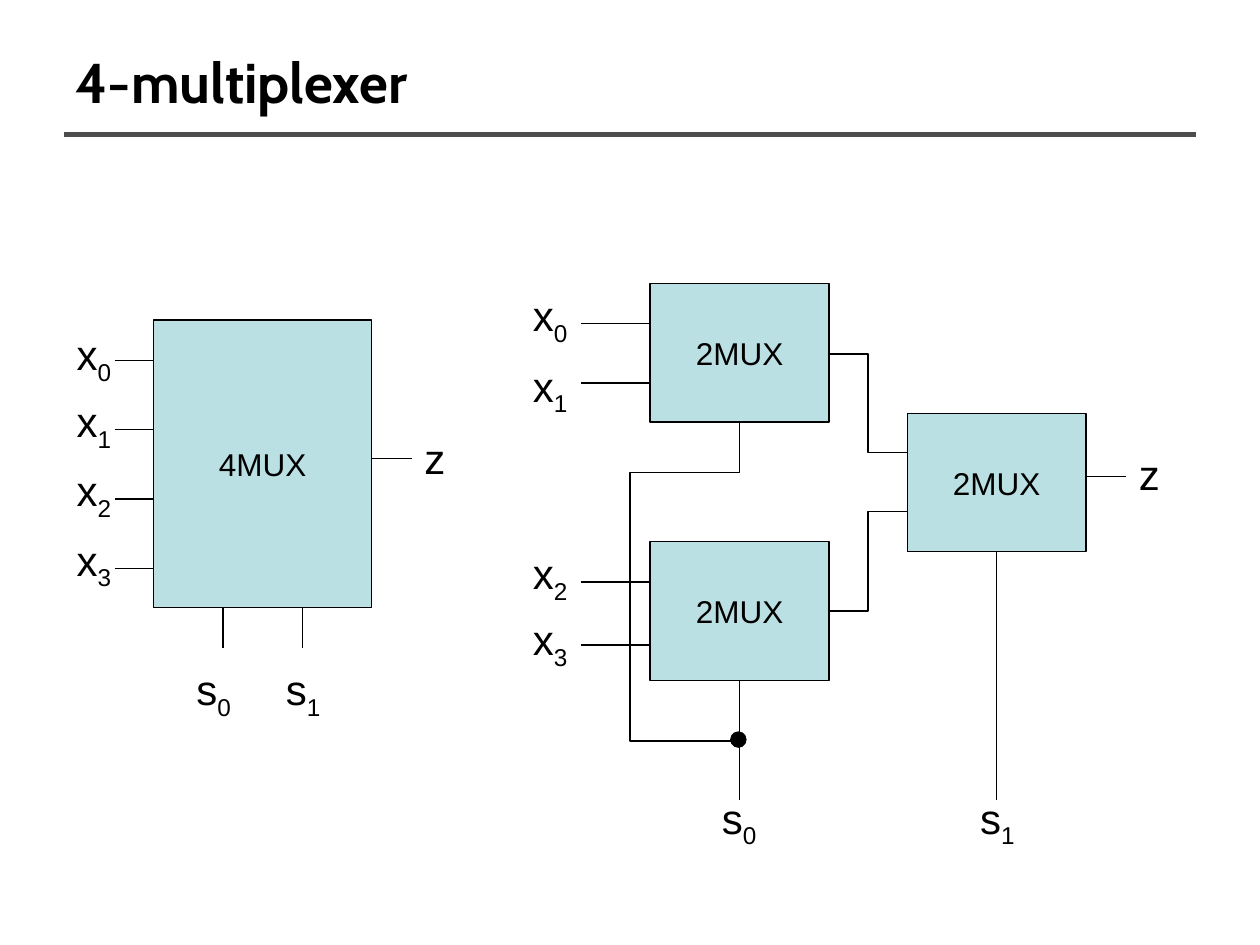
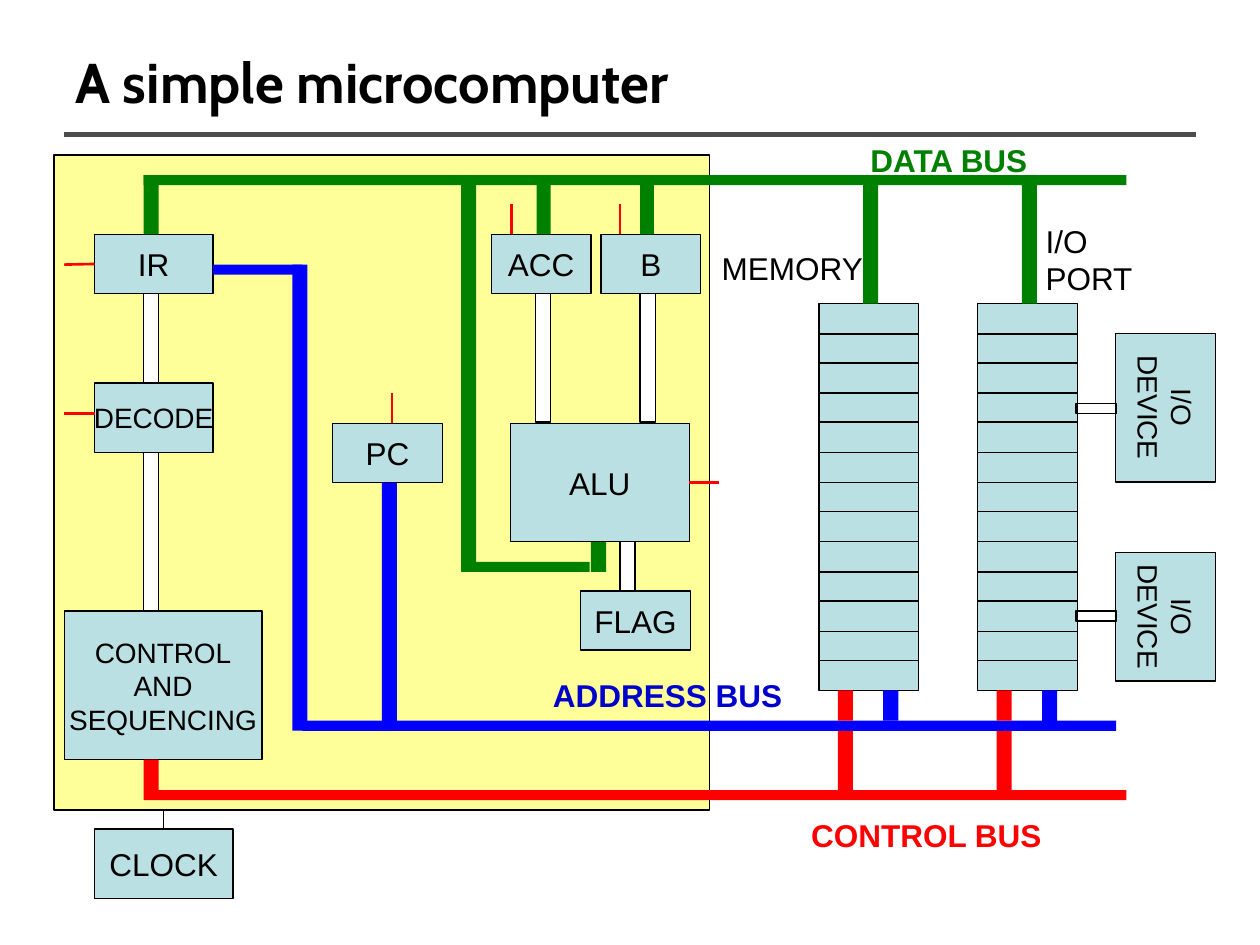
from pptx import Presentation
from pptx.dml.color import RGBColor
from pptx.enum.shapes import MSO_CONNECTOR, MSO_SHAPE
from pptx.enum.text import MSO_ANCHOR, PP_ALIGN
from pptx.oxml.xmlchemy import OxmlElement
from pptx.util import Emu, Pt

EMU_PER_PX = 9144  # 100 px to the inch

BLACK = RGBColor(0x00, 0x00, 0x00)
WHITE = RGBColor(0xFF, 0xFF, 0xFF)
RULE_GREY = RGBColor(0x4D, 0x4D, 0x4D)
BLOCK_BLUE = RGBColor(0xBB, 0xE0, 0xE3)
CPU_YELLOW = RGBColor(0xFF, 0xFF, 0x99)
DATA_GREEN = RGBColor(0x00, 0x80, 0x00)
ADDRESS_BLUE = RGBColor(0x00, 0x00, 0xFF)
ADDRESS_TEXT = RGBColor(0x00, 0x00, 0xCC)
CONTROL_RED = RGBColor(0xFF, 0x00, 0x00)

BODY_FONT = "Arial"
TITLE_FONT = "Cabin"
THIN = 0.75
TOP, LEFT, BOTTOM, RIGHT = range(4)  # connection sites of a rectangle


def px(value):
    return Emu(value * EMU_PER_PX)


# Text
def add_run(paragraph, text, size, colour=BLACK, bold=False, font=BODY_FONT):
    run = paragraph.add_run()
    run.text = text
    run.font.name = font
    run.font.size = Pt(size)
    run.font.bold = bold
    run.font.color.rgb = colour
    return run


def add_lines(frame, lines, size, colour=BLACK, bold=False, align=PP_ALIGN.LEFT):
    for index, line in enumerate(lines):
        paragraph = frame.add_paragraph() if index else frame.paragraphs[0]
        paragraph.alignment = align
        add_run(paragraph, line, size, colour, bold)


def add_caption(slide, frame, lines, colour=BLACK, bold=False):
    text_box = slide.shapes.add_textbox(*map(px, frame))
    text_box.text_frame.word_wrap = False
    add_lines(text_box.text_frame, lines, 18, colour, bold)


def add_signal(slide, left, top, name):
    """A signal letter, with its index as a subscript."""
    text_box = slide.shapes.add_textbox(*map(px, (left, top, 55, 50)))
    text_box.text_frame.word_wrap = True
    paragraph = text_box.text_frame.paragraphs[0]
    letter, index = name[0], name[1:]
    add_run(paragraph, letter, 24)
    if index:
        subscript = add_run(paragraph, index, 24)
        subscript.font._element.set("baseline", "-25000")


# Shapes
def add_plain(slide, frame, fill=None, line=None, preset=MSO_SHAPE.RECTANGLE):
    shape = slide.shapes.add_shape(preset, *map(px, frame))
    shape.shadow.inherit = False
    if fill is None:
        shape.fill.background()
    else:
        shape.fill.solid()
        shape.fill.fore_color.rgb = fill
    if line is None:
        shape.line.fill.background()
    else:
        shape.line.color.rgb = line
        shape.line.width = Pt(THIN)
    return shape


def add_block(slide, frame, lines, size=18, rotation=0):
    block = add_plain(slide, frame, BLOCK_BLUE, BLACK)
    block.rotation = rotation
    block.text_frame.word_wrap = False
    block.text_frame.vertical_anchor = MSO_ANCHOR.MIDDLE
    add_lines(block.text_frame, lines, size, align=PP_ALIGN.CENTER)
    return block


def add_bars(slide, colour, frames):
    for frame in frames:
        add_plain(slide, frame, colour)


def add_wire(slide, start, end, colour=BLACK, width=THIN, block=None, site=None):
    """A straight line; its start is joined to the block's site, if given."""
    wire = slide.shapes.add_connector(
        MSO_CONNECTOR.STRAIGHT, *map(px, (*start, *end)))
    if block is not None:
        wire.begin_connect(block, site)
    wire.line.color.rgb = colour
    wire.line.width = Pt(width)
    wire._element.spPr.append(OxmlElement("a:effectLst"))


def add_bent_wire(slide, points):
    corners = [(px(x), px(y)) for x, y in points]
    builder = slide.shapes.build_freeform(*corners[0])
    builder.add_line_segments(corners[1:], close=False)
    wire = builder.convert_to_shape()
    wire.shadow.inherit = False
    wire.fill.background()
    wire.line.color.rgb = BLACK
    wire.line.width = Pt(THIN)


def add_register_stack(slide, left, top=241, width=79, height=307, cells=13):
    add_plain(slide, (left, top, width, height), BLOCK_BLUE, BLACK)
    for row in range(1, cells):
        y = top + round(row * height / cells)
        add_wire(slide, (left, y), (left + width, y))


def add_titled_slide(presentation, title):
    slide = presentation.slides.add_slide(presentation.slide_layouts[6])
    add_wire(slide, (51, 107), (949, 107), RULE_GREY, 3)
    text_box = slide.shapes.add_textbox(*map(px, (50, 30, 900, 69)))
    text_box.text_frame.word_wrap = True
    text_box.text_frame.vertical_anchor = MSO_ANCHOR.MIDDLE
    add_run(text_box.text_frame.paragraphs[0], title, 32, bold=True, font=TITLE_FONT)
    return slide


# Slide 1
def add_multiplexer_slide(presentation):
    slide = add_titled_slide(presentation, "4-multiplexer")

    # Single 4MUX
    add_block(slide, (122, 254, 173, 228), ["4MUX"])
    for index, label_top in enumerate((256, 309, 364, 419)):
        wire_y = 286 + 55 * index
        add_wire(slide, (91, wire_y), (122, wire_y))
        add_signal(slide, 51, label_top, f"x{index}")
    add_wire(slide, (295, 364), (327, 364))
    add_signal(slide, 327, 338, "z")
    for index, (wire_x, label_left) in enumerate(((177, 146), (240, 217))):
        add_wire(slide, (wire_x, 514), (wire_x, 482))
        add_signal(slide, label_left, 522, f"s{index}")

    # The same built from three 2MUX blocks
    _, lower_mux, output_mux = [
        add_block(slide, (left, top, 142, 110), ["2MUX"])
        for left, top in ((516, 225), (516, 430), (720, 328))]
    for start_y, end_y in ((281, 359), (485, 406)):
        add_bent_wire(slide, [(657, start_y), (689, start_y), (689, end_y), (720, end_y)])
    for index, (label_top, wire_y) in enumerate(
            ((225, 257), (281, 304), (430, 462), (482, 512))):
        add_signal(slide, 413, label_top, f"x{index}")
        add_wire(slide, (461, wire_y), (516, wire_y))
    add_wire(slide, (862, 378), (894, 378))
    add_signal(slide, 894, 351, "z")

    # Select lines
    add_wire(slide, (791, 438), (791, 635), block=output_mux, site=BOTTOM)
    add_wire(slide, (587, 540), (587, 635), block=lower_mux, site=BOTTOM)
    add_bent_wire(slide, [(587, 336), (587, 375), (500, 375), (500, 588), (587, 588)])
    add_plain(slide, (580, 581, 12, 12), BLACK, BLACK, MSO_SHAPE.OVAL)
    add_signal(slide, 563, 624, "s0")
    add_signal(slide, 768, 624, "s1")


# Slide 2
def add_microcomputer_slide(presentation):
    slide = add_titled_slide(presentation, "A simple microcomputer")
    add_plain(slide, (43, 123, 520, 520), CPU_YELLOW, BLACK)

    # Blocks
    instruction_register = add_block(slide, (75, 186, 94, 47), ["IR"])
    add_block(slide, (75, 304, 94, 55), ["DECODE"], 16)
    add_block(slide, (51, 485, 157, 118), ["CONTROL", "AND", "SEQUENCING"], 16)
    add_block(slide, (264, 336, 87, 47), ["PC"])
    add_block(slide, (390, 186, 79, 47), ["ACC"])
    add_block(slide, (477, 186, 79, 47), ["B"])
    alu = add_block(slide, (405, 336, 142, 94), ["ALU"])
    add_block(slide, (461, 469, 87, 47), ["FLAG"])
    clock = add_block(slide, (75, 658, 110, 55), ["CLOCK"])
    add_wire(slide, (130, 658), (130, 643), block=clock, site=TOP)

    # Memory, I/O port and its devices
    stack_lefts = (650, 776)
    for left in stack_lefts:
        add_register_stack(slide, left)
    for frame, link_top in (((866, 284, 118, 79), 320), ((874, 450, 102, 79), 485)):
        add_block(slide, frame, ["I/O", "DEVICE"], 16, rotation=90)
        add_plain(slide, (854, link_top, 32, 8), line=BLACK)

    # Links between blocks
    for frame in ((425, 233, 12, 102), (508, 233, 12, 102), (114, 233, 12, 71),
                  (114, 359, 12, 126), (492, 430, 12, 39)):
        add_plain(slide, frame, WHITE, BLACK)

    # Data bus
    add_bars(slide, DATA_GREEN, [
        (114, 139, 780, 8), (114, 139, 12, 47), (426, 139, 11, 47), (508, 139, 11, 47),
        (469, 430, 12, 24), (366, 147, 12, 307), (366, 446, 102, 8)])
    add_bars(slide, DATA_GREEN, [(left + 35, 139, 12, 102) for left in stack_lefts])

    # Address bus
    add_bars(slide, ADDRESS_BLUE, [
        (303, 383, 12, 197), (240, 572, 646, 8), (701, 548, 12, 24),
        (827, 548, 12, 31), (232, 210, 12, 370), (169, 210, 71, 8)])

    # Control bus, broken where it crosses the address bus
    add_bars(slide, CONTROL_RED, [(114, 627, 780, 8), (114, 603, 12, 24)])
    for left in stack_lefts:
        add_bars(slide, CONTROL_RED,
                 [(left + 15, 548, 12, 24), (left + 15, 580, 12, 47)])

    # Control inputs
    for start, end, block, site in (
            ((75, 328), (51, 328), None, None),
            ((75, 210), (51, 210), instruction_register, LEFT),
            ((547, 383), (571, 383), alu, RIGHT),
            ((311, 336), (311, 312), None, None),
            ((406, 186), (406, 162), None, None),
            ((492, 186), (492, 162), None, None)):
        add_wire(slide, start, end, CONTROL_RED, 1.5, block, site)

    # Captions
    add_caption(slide, (681, 107, 149, 40), ["DATA BUS"], DATA_GREEN, True)
    add_caption(slide, (634, 643, 203, 40), ["CONTROL BUS"], CONTROL_RED, True)
    add_caption(slide, (429, 532, 202, 40), ["ADDRESS BUS"], ADDRESS_TEXT, True)
    add_caption(slide, (563, 193, 133, 40), ["MEMORY"])
    add_caption(slide, (820, 171, 90, 70), ["I/O", "PORT"])


def main():
    presentation = Presentation()
    presentation.slide_width = px(1000)
    presentation.slide_height = px(750)
    add_multiplexer_slide(presentation)
    add_microcomputer_slide(presentation)
    presentation.save("out.pptx")


if __name__ == "__main__":
    main()
